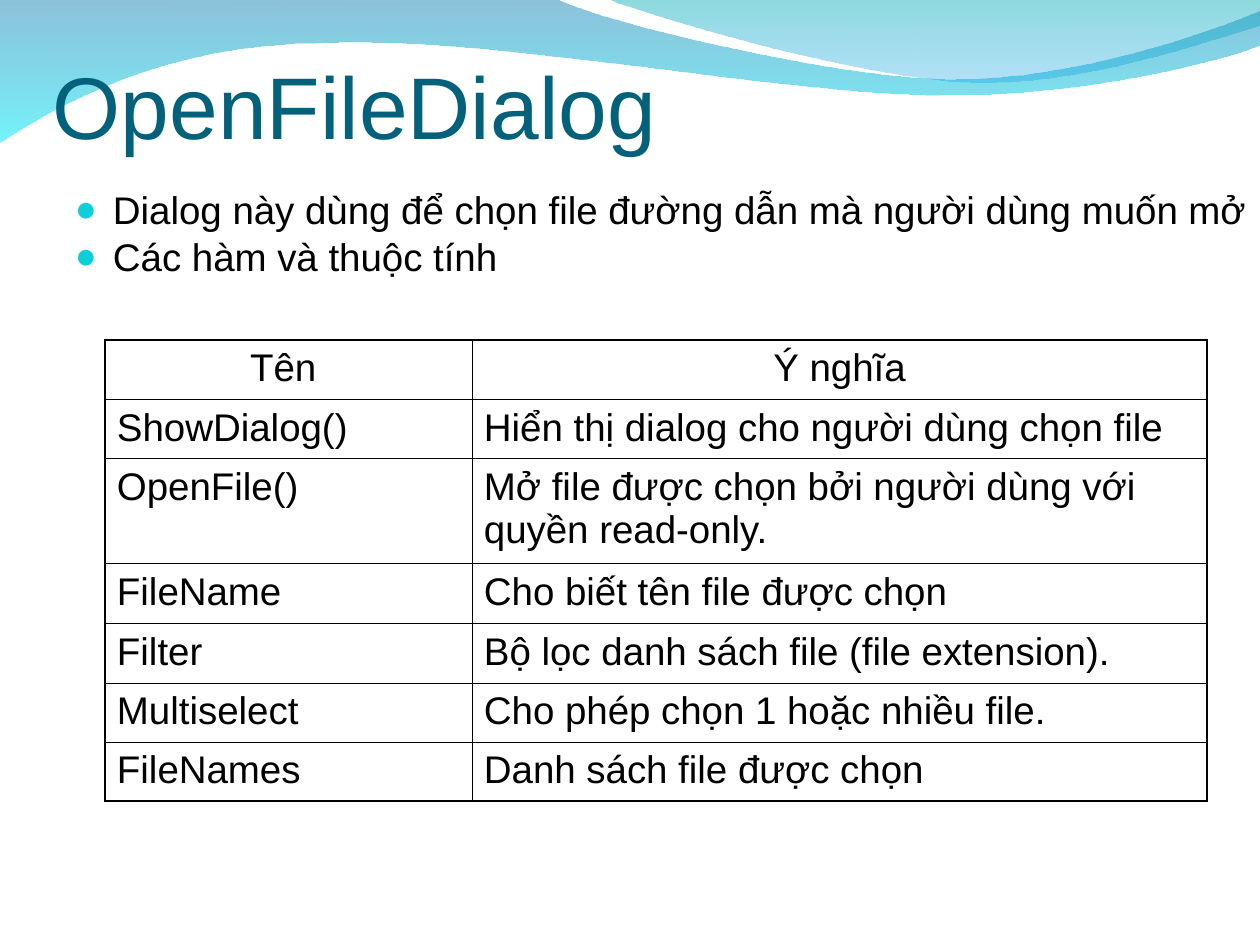
from dataclasses import dataclass

from pptx import Presentation
from pptx.dml.color import RGBColor
from pptx.enum.text import MSO_ANCHOR, PP_ALIGN
from pptx.oxml.ns import qn
from pptx.oxml.xmlchemy import OxmlElement
from pptx.util import Pt

BOTTOM, TOP = MSO_ANCHOR.BOTTOM, MSO_ANCHOR.TOP
CENTER, LEFT = PP_ALIGN.CENTER, PP_ALIGN.LEFT
EMU_PER_PX = 914400 / 126


@dataclass(frozen=True)
class Theme:
    font: str = "Arial"
    title_color: str = "04617B"
    text_color: str = "000000"
    bullet_color: str = "0BD0D9"
    border_color: str = "000000"
    title_size: int = 50
    text_size: int = 22
    space_before: float = 5.5
    outer_border: float = 1.08
    inner_border: float = 0.45
    # Gradient stops: colour and opacity in percent
    back_wave: tuple = (("0079AF", 45), ("00EBF8", 55))
    front_wave: tuple = (("00ADB6", 45), ("009BE5", 30))


THEME = Theme()

# Each wave is a start point, then line ends (2 numbers) or cubic curves (6 numbers)
BACK_WAVE = [
    (0, 0), (558, 0),
    (600, 21, 837, 79, 955, 79), (1075, 79, 1207, 33, 1260, 11),
    (1260, 45),
    (1239, 55, 1096, 96, 940, 95), (784, 95, 481, 35, 324, 43),
    (163, 44, 58, 105, 0, 142),
]
FRONT_WAVE = [
    (608, 0),
    (641, 14, 859, 78, 969, 82), (1079, 87, 1211, 40, 1260, 26),
    (1260, 0),
]
BULLETS = [
    "Dialog này dùng để chọn file đường dẫn mà người dùng muốn mở",
    "Các hàm và thuộc tính",
]
MEMBERS = [
    ("Tên ", "Ý nghĩa"),
    ("ShowDialog()", "Hiển thị dialog cho người dùng chọn file"),
    ("OpenFile()", "Mở file được chọn bởi người dùng với quyền read-only."),
    ("FileName", "Cho biết tên file được chọn"),
    ("Filter", "Bộ lọc danh sách file (file extension)."),
    ("Multiselect", "Cho phép chọn 1 hoặc nhiều file."),
    ("FileNames", "Danh sách file được chọn"),
]


def px(length):
    return round(length * EMU_PER_PX)


def make(tag, **attributes):
    element = OxmlElement(tag)
    for name, value in attributes.items():
        element.set(name, str(value))
    return element


def style_para(para, size, color, align=LEFT):
    para.alignment = align
    for span in para.runs:
        span.font.name = THEME.font
        span.font.size = Pt(size)
        span.font.color.rgb = RGBColor.from_string(color)


def add_text_frame(page, box, anchor, insets):
    frame = page.shapes.add_textbox(*map(px, box)).text_frame
    frame.word_wrap = True
    frame.vertical_anchor = anchor
    (frame.margin_left, frame.margin_top,
     frame.margin_right, frame.margin_bottom) = map(px, insets)
    return frame


def bend_lines(wave, origin, segments):
    """Turn the lines that stand for curves into cubic curves."""
    lines = list(wave._element.iter(qn("a:lnTo")))
    for line, segment in zip(lines, segments[1:]):
        if len(segment) == 2:
            continue
        curve = make("a:cubicBezTo")
        for x, y in zip(segment[::2], segment[1::2]):
            curve.append(make("a:pt", x=px(origin[0] + x) - wave.left,
                              y=px(origin[1] + y) - wave.top))
        line.getparent().replace(line, curve)


def add_wave(page, box, segments, stops):
    left, top = box[:2]
    points = [(px(left + segment[-2]), px(top + segment[-1])) for segment in segments]
    builder = page.shapes.build_freeform(*points[0], scale=1.0)
    builder.add_line_segments(points[1:], close=True)
    wave = builder.convert_to_shape()
    bend_lines(wave, (left, top), segments)
    wave.shadow.inherit = False
    wave.line.fill.background()
    wave.fill.gradient()
    wave.fill.gradient_angle = 270
    for stop, (color, opacity) in zip(wave.fill.gradient_stops, stops):
        stop.color.rgb = RGBColor.from_string(color)
    colors = wave._element.spPr.find(qn("a:gradFill")).iter(qn("a:srgbClr"))
    for element, (color, opacity) in zip(colors, stops):
        element.append(make("a:alpha", val=opacity * 1000))


def add_title(page, box):
    frame = add_text_frame(page, box, BOTTOM, (0, 6, 0, 0))
    frame.text = "OpenFileDialog"
    style_para(frame.paragraphs[0], THEME.title_size, THEME.title_color)


def add_bullets(page, box):
    frame = add_text_frame(page, box, TOP, (12, 6, 0, 6))
    frame.text = "\n".join(BULLETS)
    for para in frame.paragraphs:
        style_para(para, THEME.text_size, THEME.text_color)
        para.line_spacing = 0.8
        para.space_before = Pt(THEME.space_before)
        properties = para._p.get_or_add_pPr()
        properties.set("marL", str(px(38)))
        properties.set("indent", str(-px(38)))
        bullet_color = make("a:buClr")
        bullet_color.append(make("a:srgbClr", val=THEME.bullet_color))
        properties.extend([bullet_color, make("a:buSzPct", val=95000),
                           make("a:buFont", typeface=THEME.font),
                           make("a:buChar", char="●")])


def set_borders(cell, outer_sides):
    properties = cell._tc.get_or_add_tcPr()
    for position, side in enumerate("LRTB"):
        width = THEME.outer_border if side in outer_sides else THEME.inner_border
        line = make(f"a:ln{side}", w=Pt(width))
        fill = make("a:solidFill")
        fill.append(make("a:srgbClr", val=THEME.border_color))
        line.append(fill)
        properties.insert(position, line)


def add_members_table(page, box):
    column_widths = (367, 735)
    row_heights = (59, 59, 105, 60, 59, 59, 59)
    last_row, last_column = len(row_heights) - 1, len(column_widths) - 1
    table = page.shapes.add_table(len(row_heights), len(column_widths),
                                  *map(px, box)).table
    table.first_row = table.horz_banding = False
    for column, width in zip(table.columns, column_widths):
        column.width = px(width)
    for r, (row, height) in enumerate(zip(table.rows, row_heights)):
        row.height = px(height)
        for c, cell in enumerate(row.cells):
            cell.fill.background()
            cell.margin_left = cell.margin_right = px(12)
            cell.margin_top, cell.margin_bottom = px(7), px(6)
            cell.text_frame.text = MEMBERS[r][c]
            para = cell.text_frame.paragraphs[0]
            style_para(para, THEME.text_size, THEME.text_color,
                       CENTER if r == 0 else LEFT)
            para.space_before = Pt(THEME.space_before)
            edges = {"L": c == 0, "R": c == last_column, "T": r == 0, "B": r == last_row}
            set_borders(cell, [side for side, is_outer in edges.items() if is_outer])


def main():
    deck = Presentation()
    deck.slide_width, deck.slide_height = px(1260), px(945)
    page = deck.slides.add_slide(deck.slide_layouts[6])

    # Waves along the top
    header = (0, 0, 1260, 142)
    add_wave(page, header, BACK_WAVE, THEME.back_wave)
    add_wave(page, header, FRONT_WAVE, THEME.front_wave)

    # Title, bullets and table
    add_title(page, (53, 0, 1134, 157))
    add_bullets(page, (63, 189, 1197, 179))
    add_members_table(page, (105, 340, 1102, 460))

    deck.save("out.pptx")


if __name__ == "__main__":
    main()
